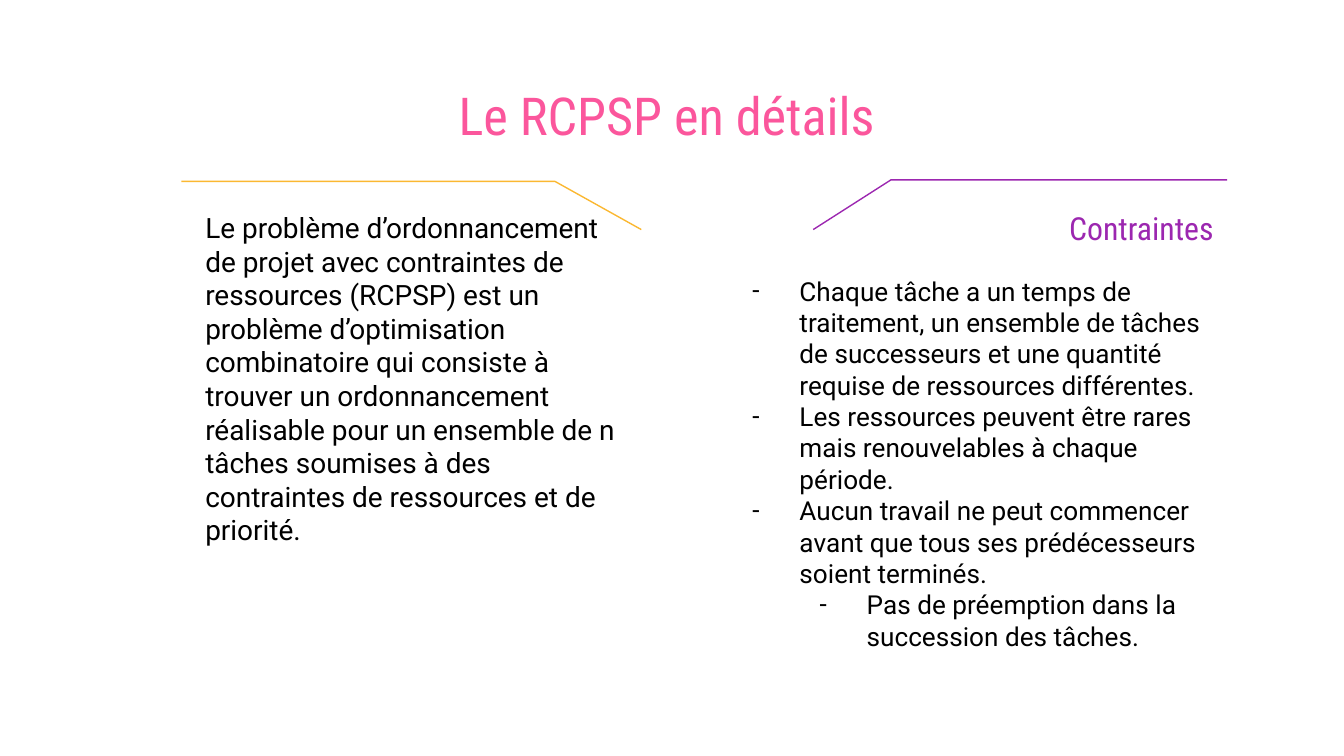
from lxml import etree
from pptx import Presentation
from pptx.dml.color import RGBColor
from pptx.enum.text import MSO_ANCHOR, PP_ALIGN
from pptx.oxml.ns import qn
from pptx.util import Cm, Pt

LEFT, CENTER, RIGHT = PP_ALIGN.LEFT, PP_ALIGN.CENTER, PP_ALIGN.RIGHT
MIDDLE = MSO_ANCHOR.MIDDLE
BODY_FONT, HEADING_FONT = "Roboto", "Roboto Condensed"
COLORS = {"pink": "FB569C", "purple": "9C27B0", "amber": "FBB831", "black": "000000"}

DESCRIPTION = (
    "Le problème d’ordonnancement de projet avec contraintes de ressources (RCPSP) "
    "est un problème d’optimisation combinatoire qui consiste à trouver un "
    "ordonnancement réalisable pour un ensemble de n tâches soumises à des "
    "contraintes de ressources et de priorité."
)
CONSTRAINTS = [
    (0, "Chaque tâche a un temps de traitement, un ensemble de tâches de successeurs "
        "et une quantité requise de ressources différentes."),
    (0, "Les ressources peuvent être rares mais renouvelables à chaque période."),
    (0, "Aucun travail ne peut commencer avant que tous ses prédécesseurs soient terminés."),
    (1, "Pas de préemption dans la succession des tâches."),
]


def rgb(name):
    """Return the named colour."""
    return RGBColor.from_string(COLORS[name])


def add_text(slide, box, text, size, font=BODY_FONT, color="black", align=LEFT):
    """Add a vertically centred text box and return its frame."""
    frame = slide.shapes.add_textbox(*map(Cm, box)).text_frame
    frame.word_wrap = True
    frame.vertical_anchor = MIDDLE
    frame.margin_left = frame.margin_right = Cm(0.25)
    frame.margin_top = frame.margin_bottom = Cm(0.25)
    frame.text = text
    for paragraph in frame.paragraphs:
        paragraph.alignment = align
        for run in paragraph.runs:
            run.font.size = Pt(size)
            run.font.name = font
            run.font.color.rgb = rgb(color)
    return frame


def add_dash(paragraph, level):
    """Give a paragraph a dash bullet with a hanging indent for its level."""
    paragraph.level = level
    properties = paragraph._p.get_or_add_pPr()
    properties.set("marL", str(Cm(1.27 * (level + 1))))
    properties.set("indent", str(Cm(-0.89)))
    bullet_color = etree.SubElement(properties, qn("a:buClr"))
    etree.SubElement(bullet_color, qn("a:srgbClr"), val=COLORS["black"])
    etree.SubElement(properties, qn("a:buFont"), typeface=BODY_FONT)
    etree.SubElement(properties, qn("a:buChar"), char="-")


def add_constraints(slide, box):
    """Add the dashed list of constraints."""
    text = "\n".join(constraint for _, constraint in CONSTRAINTS)
    frame = add_text(slide, box, text, 14)
    for paragraph, (level, _) in zip(frame.paragraphs, CONSTRAINTS):
        add_dash(paragraph, level)


def add_bent_rule(slide, points, color):
    """Add an open, unfilled line through the given points."""
    start, *others = [(Cm(x), Cm(y)) for x, y in points]
    builder = slide.shapes.build_freeform(*start)
    builder.add_line_segments(others, close=False)
    rule = builder.convert_to_shape()
    rule.shadow.inherit = False
    rule.fill.background()
    rule.line.color.rgb = rgb(color)
    rule.line.width = Pt(0.75)


def main():
    """Build the slide and save it."""
    deck = Presentation()
    deck.slide_width, deck.slide_height = Cm(25.4), Cm(14.29)
    slide = deck.slides.add_slide(deck.slide_layouts[6])

    add_text(slide, (1.98, 1.5, 21.46, 1.35), "Le RCPSP en détails ", 28,
             HEADING_FONT, "pink", CENTER)

    add_bent_rule(slide, [(15.37, 4.34), (16.84, 3.4), (23.19, 3.4)], "purple")
    add_constraints(slide, (13.59, 7.7, 9.86, 2.11))
    add_text(slide, (16.87, 3.91, 6.32, 0.81), "Contraintes", 17,
             HEADING_FONT, "purple", RIGHT)

    add_bent_rule(slide, [(12.12, 4.34), (10.49, 3.43), (3.43, 3.43)], "amber")
    add_text(slide, (3.63, 6.1, 8.31, 2.11), DESCRIPTION, 15)

    deck.save("out.pptx")


if __name__ == "__main__":
    main()
